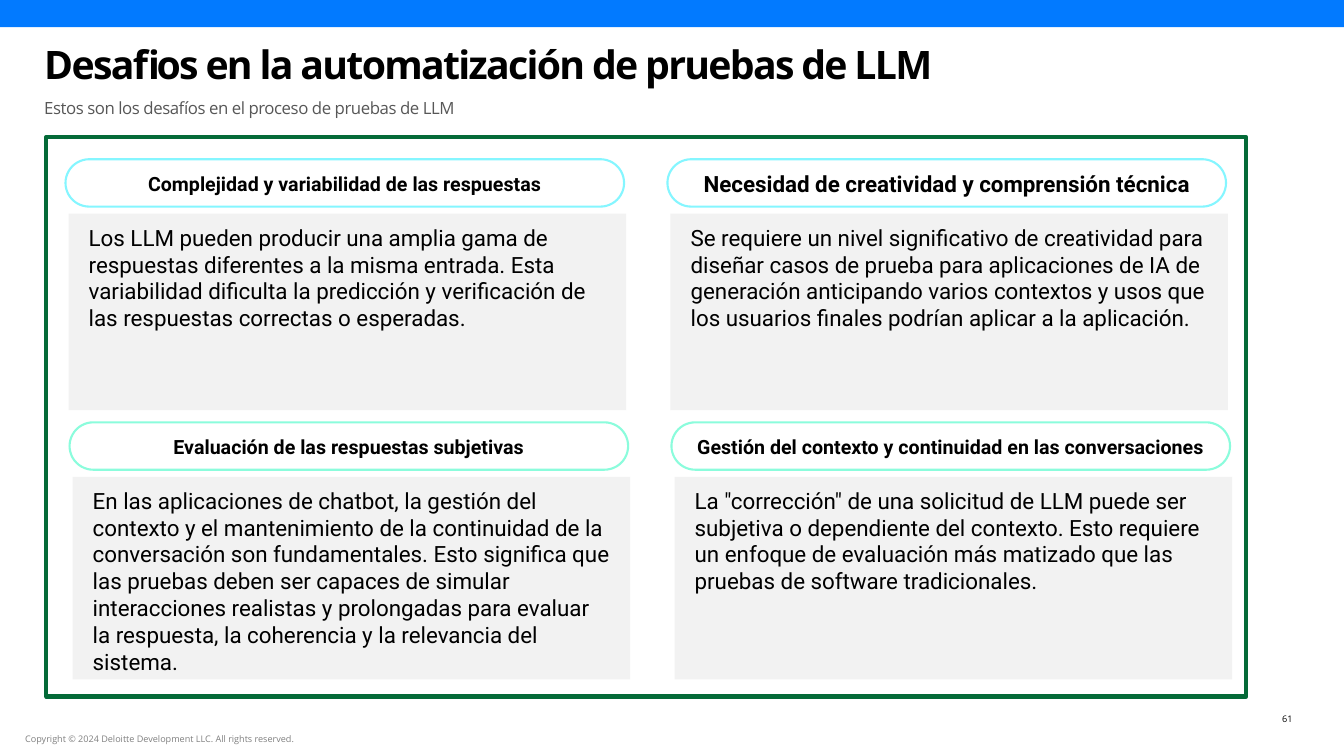
from dataclasses import dataclass

from pptx import Presentation
from pptx.dml.color import RGBColor
from pptx.enum.shapes import MSO_SHAPE
from pptx.enum.text import MSO_ANCHOR, PP_ALIGN
from pptx.shapes.autoshape import Shape
from pptx.slide import Slide
from pptx.util import Inches, Pt

COLORS = {
    "bar": "027AFF", "frame": "046A38", "white": "FFFFFF", "body": "F2F2F2",
    "text": "000000", "subtitle": "575757", "footer": "808080",
    "cyan": "85F6FF", "mint": "8BFCDC",
}
COLUMN_STEP = 5.97
BODY_SHIFT_X, BODY_SHIFT_Y = 0.03, 0.54
PILL_WIDTH, PILL_HEIGHT, BODY_WIDTH = 5.54, 0.47, 5.53


@dataclass(frozen=True)
class TextStyle:
    size: float
    font: str = "Open Sans"
    color: str = "text"
    bold: bool = False
    spacing: float = 0
    line_spacing: float = 1.0
    align: PP_ALIGN = PP_ALIGN.LEFT
    anchor: MSO_ANCHOR = MSO_ANCHOR.TOP
    inset_x: float = 0.1
    inset_y: float = 0.05


@dataclass(frozen=True)
class Label:
    text: str
    box: tuple[float, float, float, float]
    style: TextStyle


@dataclass(frozen=True)
class Row:
    left: float
    top: float
    body_height: float
    outline: str


@dataclass(frozen=True)
class Challenge:
    row: int
    column: int
    heading: str
    body: str
    heading_size: float = 14


LABELS = [
    Label("61", (12.48, 7.08, 0.34, 0.11),
          TextStyle(6.5, align=PP_ALIGN.RIGHT, inset_x=0, inset_y=0)),
    Label("Copyright © 2024 Deloitte Development LLC. All rights reserved.",
          (0.25, 7.28, 5.86, 0.11),
          TextStyle(6.5, color="footer", inset_x=0, inset_y=0)),
    Label("Desafios en la automatización de pruebas de LLM", (0.34, 0.4, 12.75, 0.49),
          TextStyle(28, bold=True, spacing=-1.2, line_spacing=0.9)),
    Label("Estos son los desafíos en el proceso de pruebas de LLM",
          (0.34, 0.92, 12.13, 0.53),
          TextStyle(12, color="subtitle", spacing=-0.3)),
]
ROWS = [Row(0.65, 1.58, 1.95, "cyan"), Row(0.69, 4.19, 2.01, "mint")]
CHALLENGES = [
    Challenge(0, 0, "Complejidad y variabilidad de las respuestas",
              "Los LLM pueden producir una amplia gama de respuestas diferentes a la misma "
              "entrada. Esta variabilidad dificulta la predicción y verificación de las "
              "respuestas correctas o esperadas."),
    Challenge(1, 0, "Evaluación de las respuestas subjetivas",
              "En las aplicaciones de chatbot, la gestión del contexto y el mantenimiento de "
              "la continuidad de la conversación son fundamentales. Esto significa que las "
              "pruebas deben ser capaces de simular interacciones realistas y prolongadas "
              "para evaluar la respuesta, la coherencia y la relevancia del sistema."),
    Challenge(0, 1, "Necesidad de creatividad y comprensión técnica",
              "Se requiere un nivel significativo de creatividad para diseñar casos de "
              "prueba para aplicaciones de IA de generación anticipando varios contextos y "
              "usos que los usuarios finales podrían aplicar a la aplicación.", 16),
    Challenge(1, 1, "Gestión del contexto y continuidad en las conversaciones",
              'La "corrección" de una solicitud de LLM puede ser subjetiva o dependiente del '
              "contexto. Esto requiere un enfoque de evaluación más matizado que las pruebas "
              "de software tradicionales."),
]


def color(name: str) -> RGBColor:
    return RGBColor.from_string(COLORS[name])


def write(shape: Shape, text: str, style: TextStyle) -> None:
    frame = shape.text_frame
    frame.text = text
    frame.word_wrap = True
    frame.vertical_anchor = style.anchor
    frame.margin_left = frame.margin_right = Inches(style.inset_x)
    frame.margin_top = frame.margin_bottom = Inches(style.inset_y)
    paragraph = frame.paragraphs[0]
    paragraph.alignment = style.align
    paragraph.line_spacing = style.line_spacing
    run = paragraph.runs[0]
    run.font.name = style.font
    run.font.size = Pt(style.size)
    run.font.bold = style.bold
    run.font.color.rgb = color(style.color)
    if style.spacing:
        run._r.get_or_add_rPr().set("spc", str(round(style.spacing * 100)))


def add_box(slide: Slide, box: tuple[float, float, float, float], fill: str = "",
            outline: str = "", width: float = 1.5,
            kind: MSO_SHAPE = MSO_SHAPE.RECTANGLE) -> Shape:
    shape = slide.shapes.add_shape(kind, *map(Inches, box))
    shape.shadow.inherit = False
    if fill:
        shape.fill.solid()
        shape.fill.fore_color.rgb = color(fill)
    else:
        shape.fill.background()
    if outline:
        shape.line.color.rgb = color(outline)
        shape.line.width = Pt(width)
    else:
        shape.line.fill.background()
    return shape


def add_challenge(slide: Slide, challenge: Challenge) -> None:
    row = ROWS[challenge.row]
    left = row.left + challenge.column * COLUMN_STEP
    body = add_box(slide, (left + BODY_SHIFT_X, row.top + BODY_SHIFT_Y,
                           BODY_WIDTH, row.body_height), fill="body")
    write(body, challenge.body, TextStyle(16, "Roboto", inset_x=0.2, inset_y=0.1))
    pill = add_box(slide, (left, row.top, PILL_WIDTH, PILL_HEIGHT),
                   outline=row.outline, kind=MSO_SHAPE.ROUNDED_RECTANGLE)
    pill.adjustments[0] = 0.5
    write(pill, challenge.heading,
          TextStyle(challenge.heading_size, "Roboto", bold=True, line_spacing=1.06,
                    align=PP_ALIGN.CENTER, anchor=MSO_ANCHOR.MIDDLE, inset_y=0.1))


def main() -> None:
    """Build the slide on the challenges of automating LLM tests."""
    presentation = Presentation()
    presentation.slide_width = Inches(13.33)
    presentation.slide_height = Inches(7.5)
    slide = presentation.slides.add_slide(presentation.slide_layouts[6])
    add_box(slide, (0, 0, 13.33, 0.27), fill="bar")
    for label in LABELS:
        text_box = slide.shapes.add_textbox(*map(Inches, label.box))
        write(text_box, label.text, label.style)
    add_box(slide, (0.46, 1.36, 11.9, 5.55), fill="white", outline="frame", width=3)
    for challenge in CHALLENGES:
        add_challenge(slide, challenge)
    presentation.save("out.pptx")


if __name__ == "__main__":
    main()
